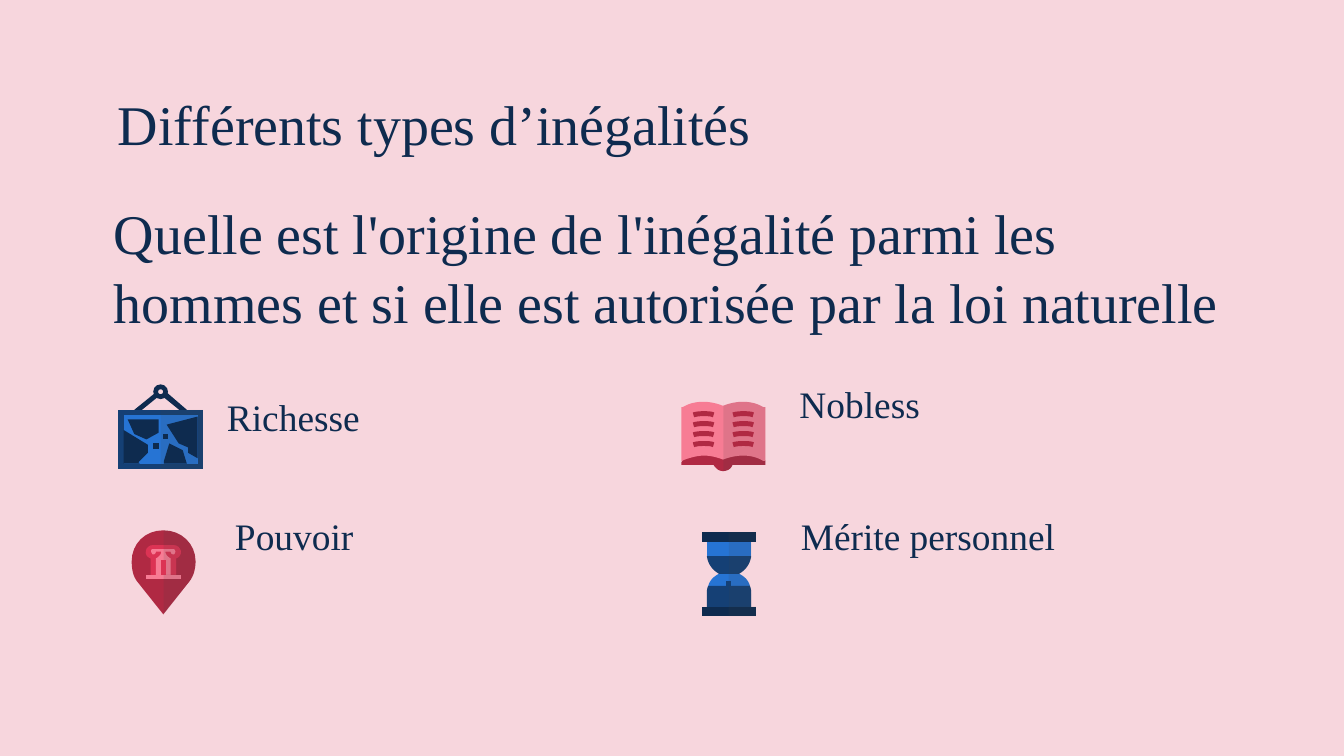
import lxml.etree
import pptx
import pptx.dml.color
import pptx.enum.shapes
import pptx.enum.text
import pptx.oxml.ns
import pptx.util

WIDTH, HEIGHT = pptx.util.Inches(10), pptx.util.Inches(5.625)
NAVY, STEEL, BLUE = "0E2B4F", "154075", "2674D4"
CRIMSON, RED, ROSE = "B02943", "DC3354", "F77C94"
SHADE, BACKGROUND = "434343", "F7D6DD"


def rgb(value):
    return pptx.dml.color.RGBColor.from_string(value)


def emu(box):
    """Turn a box in percent of the slide into EMU."""
    x, y, w, h = box
    return [round(v * side / 100) for v, side in ((x, WIDTH), (y, HEIGHT), (w, WIDTH), (h, HEIGHT))]


def add_text(s, text, box, size=20, anchor="BOTTOM", spacing=None):
    tf = s.shapes.add_textbox(*emu(box)).text_frame
    tf.word_wrap = True
    tf.vertical_anchor = getattr(pptx.enum.text.MSO_ANCHOR, anchor)
    tf.margin_left = tf.margin_right = tf.margin_top = tf.margin_bottom = pptx.util.Inches(0.1)
    p = tf.paragraphs[0]
    p.line_spacing = spacing
    r = p.add_run()
    r.text = text
    r.font.name = "Times New Roman"
    r.font.size = pptx.util.Pt(size)
    r.font.color.rgb = rgb(NAVY)


def paint(sp, color, opacity=None):
    sp.shadow.inherit = False
    sp.line.fill.background()
    sp.fill.solid()
    sp.fill.fore_color.rgb = rgb(color)
    if opacity:
        clr = sp.fill._xPr.find(".//" + pptx.oxml.ns.qn("a:srgbClr"))
        lxml.etree.SubElement(clr, pptx.oxml.ns.qn("a:alpha"), val=str(opacity * 1000))


def flatten(outline, steps=8):
    """Outline of points (x, y) and Bezier curves (x1, y1, x2, y2, x, y)."""
    points = []
    for part in outline:
        if len(part) == 2:
            points.append(part)
            continue
        nodes = [points[-1], part[:2], part[2:4], part[4:]]
        for i in range(1, steps + 1):
            t = i / steps
            weights = ((1 - t) ** 3, 3 * t * (1 - t) ** 2, 3 * t * t * (1 - t), t ** 3)
            points.append(tuple(sum(k * n[a] for k, n in zip(weights, nodes)) for a in (0, 1)))
    return points


def rect(x1, y1, x2, y2):
    return [(x1, y1), (x1, y2), (x2, y2), (x2, y1)]


class Icon:
    """A group drawn on a grid of columns and rows that fills the box."""

    def __init__(self, s, box, cols, rows):
        self.x, self.y, w, h = emu(box)
        self.dx, self.dy, self.mid = w / cols, h / rows, cols / 2
        self.shapes = s.shapes.add_group_shape().shapes

    def place(self, x, y):
        return round(self.x + x * self.dx), round(self.y + y * self.dy)

    def polygon(self, points, color, opacity=None):
        start, *rest = [self.place(*pt) for pt in points]
        fb = self.shapes.build_freeform(*start)
        fb.add_line_segments(rest, close=True)
        paint(fb.convert_to_shape(), color, opacity)

    def draw(self, color, outline, shaded=False):
        points = flatten(outline)
        self.polygon(points, color)
        if shaded:  # the right half lies in shade
            self.polygon([(max(x, self.mid), y) for x, y in points], SHADE, 13)


def pin_icon(s, box):
    icon = Icon(s, box, 47.5, 62.5)
    icon.draw(CRIMSON, [(23.5, 0), (10, 0, 0, 10, 0, 23), (0, 29, 1, 34, 4, 38), (23.5, 62.5),
                        (43, 38), (46, 34, 47.5, 29, 47.5, 23), (47.5, 10, 37, 0, 23.5, 0)], True)
    # Column capital, shaft, door and base
    icon.draw(RED, [(16, 11), (10, 11, 8, 19, 14, 21), (14, 34), (33, 34), (33, 21),
                    (39, 19, 37, 11, 31, 11)], True)
    icon.draw(ROSE, [(16, 14), (14, 14, 14, 16, 15, 17), (15, 18, 16, 18, 16, 18),
                     (17, 18, 18, 17, 18, 16), (22, 16), (22, 18, 20, 20, 18, 21), (18, 34),
                     (29, 34), (29, 21), (27, 20, 25, 18, 25, 16), (29, 16),
                     (29, 17, 30, 18, 31, 18), (31, 18, 32, 18, 32, 17),
                     (33, 16, 32, 14, 31, 14)], True)
    icon.draw(RED, rect(22, 22, 25.5, 34))
    icon.draw(ROSE, rect(11, 33, 36.5, 36.5), True)


def book_icon(s, box):
    icon = Icon(s, box, 62.5, 51.5)
    # Cover and pages
    icon.draw(CRIMSON, [(31, 33), (4, 39), (0, 45), (0, 47), (24, 47), (26, 50, 28, 51.5, 31, 51.5),
                        (34, 51.5, 37, 50, 38, 47), (62.5, 47), (62.5, 44), (60, 40)], True)
    icon.draw(ROSE, [(16, 0), (11, 0, 6, 1, 1, 4), (0, 4), (0, 44), (5, 42, 11, 40, 17, 40),
                     (21, 40, 26, 41, 31, 43), (36, 41, 41, 40, 46, 40), (51, 40, 56, 41, 61, 44),
                     (62.5, 44), (62.5, 4), (61, 4), (56, 1, 51, 0, 46, 0),
                     (41, 0, 36, 1, 31, 3), (26, 1, 21, 0, 16, 0)], True)
    # Lines of writing
    stroke = [(8, 0), (6, 0, 3, 0, 0, 1), (1, 4.5), (4, 3.7, 6, 3.7, 8, 3.7),
              (11, 3.7, 13, 3.7, 15, 4.5), (16, 1), (14, 0, 11, 0, 8, 0)]
    for row in range(4):
        for x in (8.5, 38):
            icon.draw(CRIMSON, [(px + x, py + 7 + 7.4 * row) for px, py in flatten(stroke)])


def painting_icon(s, box):
    icon = Icon(s, box, 63, 63)
    # Cords
    icon.draw(NAVY, [(28, 6), (12, 19), (14, 22), (30, 9)])
    icon.draw(NAVY, [(36, 6), (33, 9), (49, 22), (51, 19)])
    # Frame and canvas
    icon.draw(STEEL, rect(0, 19, 63, 63), True)
    icon.draw(BLUE, rect(4, 22.5, 59, 59.5), True)
    # Ring
    x, y = icon.place(26, 0)
    ring = icon.shapes.add_shape(pptx.enum.shapes.MSO_SHAPE.DONUT, x, y,
                                 round(11 * icon.dx), round(11 * icon.dy))
    ring.adjustments[0] = 0.33
    paint(ring, NAVY)
    # Dark patches
    for patch in ([(7, 26), (12, 37), (21, 41), (30, 36), (30, 26)],
                  rect(26, 44, 30, 48),
                  [(4, 34), (4, 59), (16, 59), (15, 58), (22, 51), (22, 45)],
                  rect(33, 37, 37, 41),
                  [(59, 24), (36, 30), (45, 44), (52, 47), (52, 51), (59, 55)],
                  [(38, 44), (34, 57), (34, 59), (51, 59), (48, 49)]):
        icon.draw(NAVY, patch)


def hourglass_icon(s, box):
    icon = Icon(s, box, 40.5, 62.5)
    # Glass and sand
    icon.draw(BLUE, [(20, 27), (13, 31), (9, 33, 6, 36, 5, 40), (20, 44), (36, 40),
                     (35, 36, 32, 33, 28, 31)], True)
    icon.draw(STEEL, [(20, 14), (4, 18), (5, 24, 8, 28, 13, 31), (28, 31),
                      (33, 28, 36, 24, 37, 18)], True)
    icon.draw(BLUE, rect(4, 3, 37, 18), True)
    icon.draw(NAVY, rect(0, 0, 40.5, 7), True)
    icon.draw(STEEL, rect(18.5, 36, 22, 42))
    icon.draw(STEEL, [(5, 40), (4, 42, 4, 44, 4, 46), (4, 59), (37, 59), (37, 46),
                      (37, 44, 37, 42, 36, 40)], True)
    icon.draw(NAVY, rect(0, 55.5, 40.5, 62.5), True)


def main():
    prs = pptx.Presentation()
    prs.slide_width, prs.slide_height = WIDTH, HEIGHT
    s = prs.slides.add_slide(prs.slide_layouts[6])
    s.background.fill.solid()
    s.background.fill.fore_color.rgb = rgb(BACKGROUND)

    # Title and question
    add_text(s, "Différents types d’inégalités", (7.8, 10.49, 84.4, 11.2), 30, "MIDDLE", 1.04)
    add_text(s, "Quelle est l'origine de l'inégalité parmi les hommes et si elle est "
                "autorisée par la loi naturelle", (7.5, 29.51, 84.4, 11.2), 30, "MIDDLE", 1.04)

    # Kinds of inequality: label, its corner, icon and the icon's box
    for label, x, y, icon, box in (
            ("Richesse", 15.9, 50.31, painting_icon, (8.8, 50.84, 6.3, 11.2)),
            ("Pouvoir", 16.5, 65.96, pin_icon, (9.8, 70.15, 4.75, 11.11)),
            ("Nobless", 58.5, 48.53, book_icon, (50.7, 53.16, 6.25, 9.16)),
            ("Mérite personnel", 58.6, 65.96, hourglass_icon, (52.2, 70.4, 4.05, 11.11))):
        add_text(s, label, (x, y, 27.2, 9.6))
        icon(s, box)

    prs.save("out.pptx")


if __name__ == "__main__":
    main()
